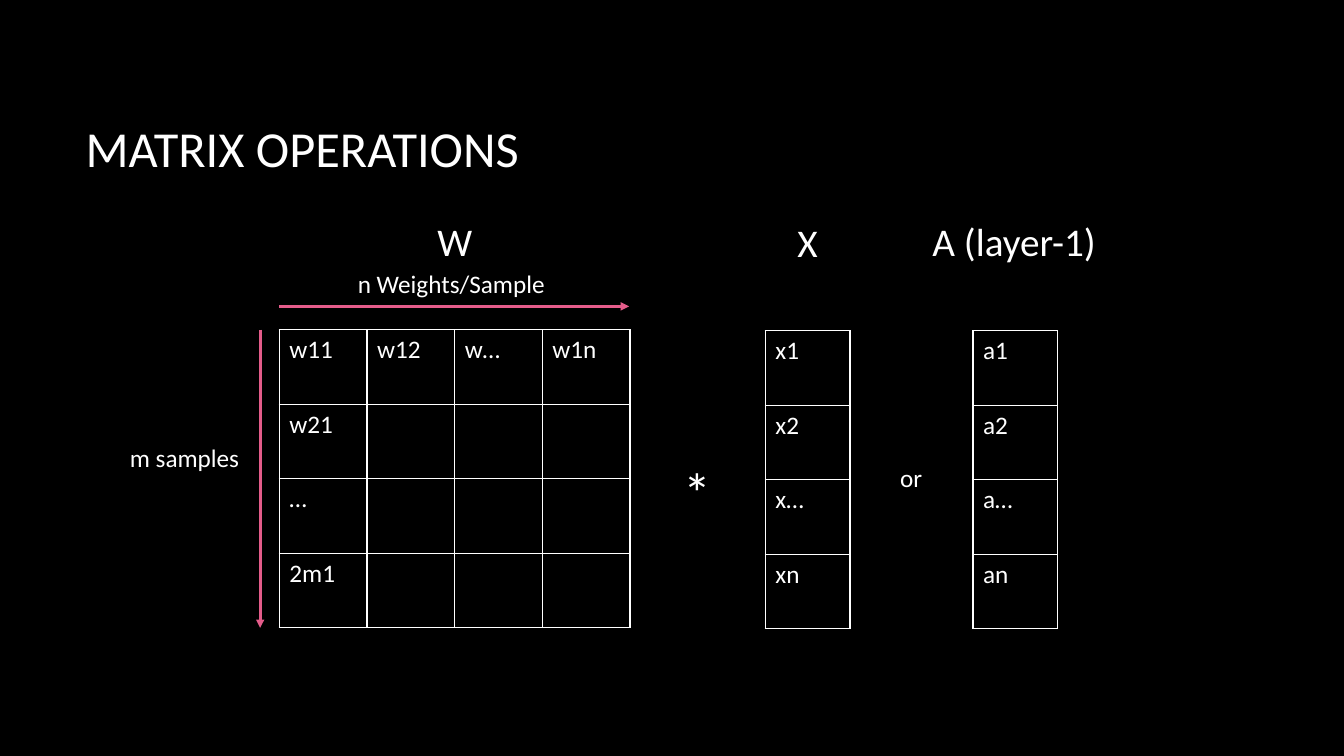
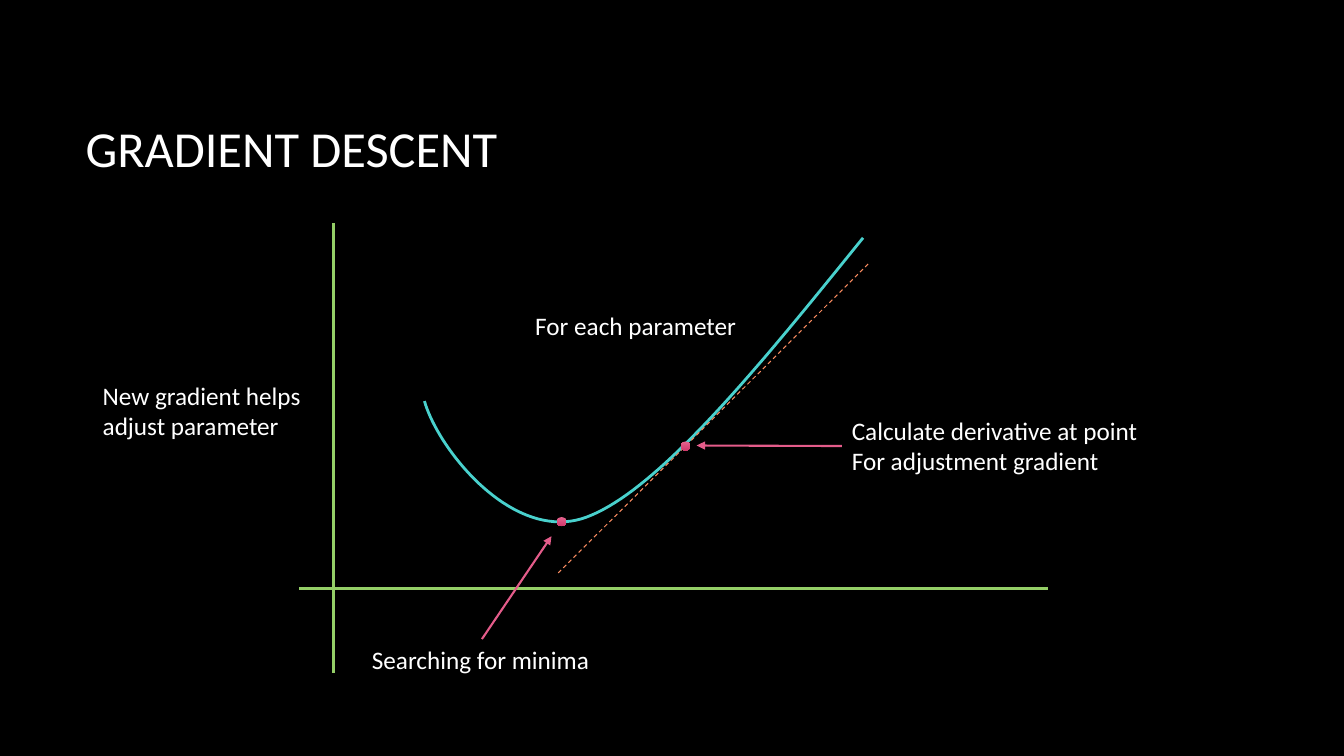
from dataclasses import dataclass

from lxml.etree import SubElement
from pptx import Presentation
from pptx.dml.color import RGBColor
from pptx.enum.dml import MSO_LINE
from pptx.enum.shapes import MSO_CONNECTOR, MSO_SHAPE
from pptx.enum.text import MSO_ANCHOR, MSO_AUTO_SIZE
from pptx.oxml.ns import qn
from pptx.util import Inches, Pt


@dataclass(frozen=True)
class Theme:
    font: str = "Calibri"
    black: RGBColor = RGBColor.from_string("000000")
    white: RGBColor = RGBColor.from_string("FFFFFF")
    pink: RGBColor = RGBColor.from_string("E45C8A")
    light: RGBColor = RGBColor.from_string("E5638E")
    dark: RGBColor = RGBColor.from_string("D13A6D")
    green: RGBColor = RGBColor.from_string("94CE67")
    teal: RGBColor = RGBColor.from_string("49D1CD")
    orange: RGBColor = RGBColor.from_string("F98C61")
    title: int = 36
    star: int = 40
    head: int = 28
    body: int = 18


theme = Theme()


def write(frame, text, size=theme.body):
    for i, line in enumerate(text.split("\n")):
        para = frame.add_paragraph() if i else frame.paragraphs[0]
        run = para.add_run()
        run.text = line
        run.font.name = theme.font
        run.font.size = Pt(size)
        run.font.color.rgb = theme.white


def draw(slide, start, end, color, width, arrow=False):
    line = slide.shapes.add_connector(
        MSO_CONNECTOR.STRAIGHT, *(Inches(v) for v in start + end))
    line.line.color.rgb = color
    line.line.width = Pt(width)
    if arrow:
        SubElement(line.get_or_add_ln(), qn("a:tailEnd"), type="triangle")
    SubElement(line._element.spPr, qn("a:effectLst"))
    return line


deck = Presentation()
deck.slide_width, deck.slide_height = Inches(13.33), Inches(7.5)

pages = []
for name in ("MATRIX OPERATIONS", "GRADIENT DESCENT"):
    page = deck.slides.add_slide(deck.slide_layouts[6])
    page.background.fill.solid()
    page.background.fill.fore_color.rgb = theme.black
    box = page.shapes.add_textbox(Inches(0.75), Inches(0.67), Inches(11.08), Inches(1.59))
    box.text_frame.word_wrap = True
    box.text_frame.vertical_anchor = MSO_ANCHOR.MIDDLE
    write(box.text_frame, name, theme.title)
    pages.append(page)
matrix, descent = pages

labels = [
    (matrix, "n Weights/Sample", 3.45, 2.61, 2.08, 0.4, theme.body),
    (matrix, "m samples", 1.19, 4.34, 1.3, 0.4, theme.body),
    (matrix, "W", 4.24, 2.11, 0.55, 0.57, theme.head),
    (matrix, "*", 6.68, 4.49, 0.48, 0.77, theme.star),
    (matrix, "or", 8.83, 4.54, 0.42, 0.4, theme.body),
    (matrix, "X", 7.81, 2.12, 0.41, 0.57, theme.head),
    (matrix, "A (layer-1)", 9.15, 2.11, 1.85, 0.57, theme.head),
    (descent, "Searching for minima", 3.59, 6.34, 2.38, 0.4, theme.body),
    (descent, "Calculate derivative at point\nFor adjustment gradient",
     8.35, 4.07, 3.07, 0.71, theme.body),
    (descent, "For each parameter", 5.21, 3.03, 2.22, 0.4, theme.body),
    (descent, "New gradient helps\nadjust parameter", 0.92, 3.72, 2.25, 0.71, theme.body),
]
boxes = {}
for page, text, x, y, w, h, size in labels:
    box = page.shapes.add_textbox(Inches(x), Inches(y), Inches(w), Inches(h))
    box.text_frame.word_wrap = False
    box.text_frame.auto_size = MSO_AUTO_SIZE.SHAPE_TO_FIT_TEXT
    write(box.text_frame, text, size)
    boxes[text.split()[0]] = box

weights = [["w11", "w12", "w…", "w1n"]] + [[t, "", "", ""] for t in ("w21", "…", "2m1")]
inputs = [["x1"], ["x2"], ["x…"], ["xn"]]
layer = [["a1"], ["a2"], ["a…"], ["an"]]
row = 0.74
for cells, x, y, wide in ((weights, 2.77, 3.27, 0.87), (inputs, 7.59, 3.28, 0.84),
                          (layer, 9.65, 3.28, 0.84)):
    count = len(cells[0])
    grid = matrix.shapes.add_table(
        len(cells), count, Inches(x), Inches(y),
        Inches(wide * count), Inches(row * len(cells))).table
    grid.first_row = grid.horz_banding = False
    for r, texts in enumerate(cells):
        for c, text in enumerate(texts):
            cell = grid.cell(r, c)
            props = cell._tc.get_or_add_tcPr()
            for side in ("lnL", "lnR", "lnT", "lnB"):
                edge = SubElement(props, qn("a:" + side), w=str(Pt(1)))
                fill = SubElement(edge, qn("a:solidFill"))
                SubElement(fill, qn("a:srgbClr"), val=str(theme.white))
            cell.fill.background()
            if text:
                write(cell.text_frame, text)

draw(matrix, (2.77, 3.04), (6.24, 3.04), theme.pink, 2, True)
draw(matrix, (2.58, 3.27), (2.58, 6.23), theme.pink, 2, True)

draw(descent, (3.31, 2.21), (3.31, 6.68), theme.green, 2)
draw(descent, (2.97, 5.84), (10.39, 5.84), theme.green, 2)

bends = [
    ((8.56, 2.36), (7.55, 3.61), (6.54, 4.86), (5.82, 5.13)),
    ((5.82, 5.13), (5.1, 5.4), (4.35, 4.47), (4.21, 3.98)),
]
steps = 40
points = []
for bend in bends:
    for i in range(1, steps + 1):
        t = i / steps
        parts = ((1 - t) ** 3, 3 * t * (1 - t) ** 2, 3 * t ** 2 * (1 - t), t ** 3)
        points.append(tuple(
            Inches(sum(k * p[axis] for k, p in zip(parts, bend))) for axis in (0, 1)))
pen = descent.shapes.build_freeform(*(Inches(v) for v in bends[0][0]))
pen.add_line_segments(points, close=False)
curve = pen.convert_to_shape()
curve.shadow.inherit = False
curve.fill.background()
curve.line.color.rgb = theme.teal
curve.line.width = Pt(2)

slope = draw(descent, (8.61, 2.62), (5.52, 5.7), theme.orange, 0.75)
slope.line.dash_style = MSO_LINE.DASH

for x, y in ((6.75, 4.38), (5.52, 5.13)):
    dot = descent.shapes.add_shape(
        MSO_SHAPE.OVAL, Inches(x), Inches(y), Inches(0.1), Inches(0.09))
    dot.shadow.inherit = False
    dot.line.fill.background()
    dot.fill.gradient()
    dot.fill.gradient_angle = 270
    for stop, color in zip(dot.fill.gradient_stops, (theme.light, theme.dark)):
        stop.color.rgb = color

for key, side, start, end in (("Searching", 0, (4.78, 6.34), (5.47, 5.32)),
                              ("Calculate", 1, (8.35, 4.42), (6.91, 4.42))):
    arrow = draw(descent, start, end, theme.pink, 1.5, True)
    arrow.begin_connect(boxes[key], side)

deck.save("out.pptx")
